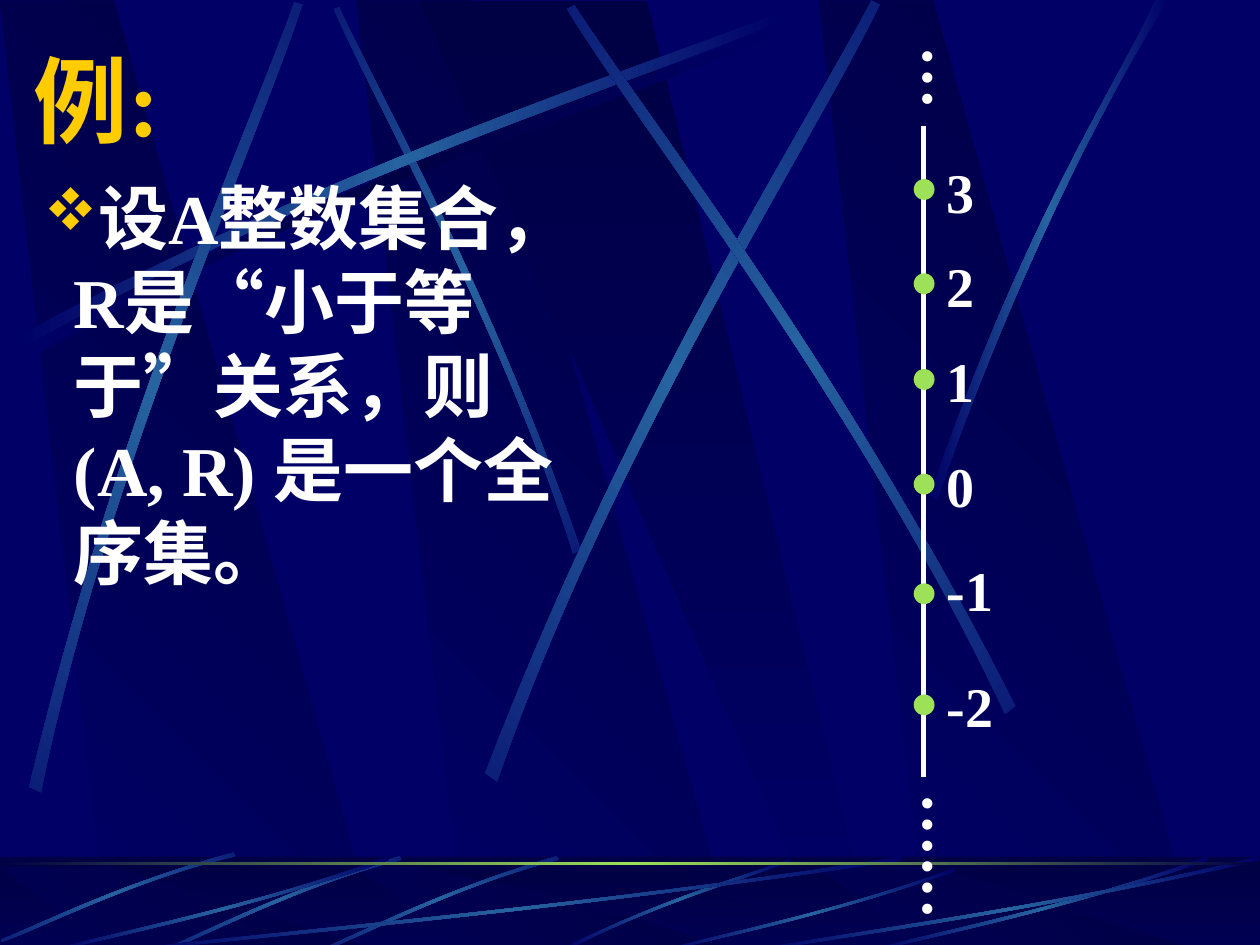
from lxml.etree import SubElement
from pptx import Presentation
from pptx.dml.color import RGBColor
from pptx.enum.shapes import MSO_CONNECTOR, MSO_SHAPE
from pptx.enum.text import MSO_ANCHOR, PP_ALIGN
from pptx.oxml.ns import qn
from pptx.util import Cm, Pt

HUES = {"night": "000066", "dark": "000044", "beam": "2663A0",
        "lime": "9CE157", "gold": "FFCC00", "white": "FFFFFF"}
SERIF, SANS = "Times New Roman", "Noto Sans CJK SC"

GLOW = ("night", "beam", "night")
SHADE = ("night", "dark", "night")
BAND = [(0.285, 1), (1, 1), (0.3, 0), (0, 0)]
WEDGE = [(0, 0), (0.9, 1), (1, 1), (0.5, 0)]
RAY = [(0, 0.963), (0.434, 0.43), (0.828, 0.154), (0.995, 0),
       (1, 0.022), (0.834, 0.19), (0.384, 0.498), (0.005, 1)]
ARC = [(0, 0.99), (0.4, 0.436), (0.79, 0.166), (0.947, 0),
       (1, 0), (0.52, 0.365), (0.164, 0.81), (0.03, 1)]

HIGH_RAYS = [
    ((0.51, 0.46, 15.44, 6.78), 0, False, SHADE),
    ((3.58, 3.43, 11.23, 4.45), 45, True, GLOW),
    ((0.36, 0.25, 15.44, 6.78), 0, False, GLOW),
    ((-4.34, 4.62, 15.44, 6.78), 311.7, False, GLOW),
    ((5.87, 4.06, 15.85, 7.65), 321.6, False, GLOW),
    ((8.2, 3.86, 15.44, 6.78), 34.8, True, GLOW),
]
LOW_RAYS = [
    ((11.38, 17.32, 4.57, 1.85), 0, False),
    ((6.55, 17.17, 4.67, 2.11), 314.9, True),
    ((3.38, 17.17, 4.67, 2.11), 314.9, True),
    ((0.1, 17.02, 4.57, 2.16), 314.9, True),
    ((2.54, 17.27, 15.67, 1.91), 180, False),
    ((1.07, 17.27, 6.78, 1.91), 180, False),
    ((13.39, 17.5, 5.87, 1.68), 180, False),
    ((17.58, 17.27, 6.78, 1.91), 180, False),
    ((15.24, 17.27, 10.16, 1.91), 180, False),
]
TICKS = [("3", 3.61, 2.77), ("2", 5.51, 4.67), ("1", 7.44, 6.58),
         ("0", 9.55, 8.71), ("-1", 11.76, 10.8), ("-2", 14, 13.13)]


def rgb(name):
    """Look up a colour by its name."""
    return RGBColor.from_string(HUES[name])


def lens(box):
    """Turn centimetres into lengths."""
    return [Cm(n) for n in box]


def plain(shape, hue):
    """Give a shape a flat fill, no line and no shadow."""
    shape.shadow.inherit = False
    shape.line.fill.background()
    shape.fill.solid()
    shape.fill.fore_color.rgb = rgb(hue)
    return shape


def blend(shape, hues, angle=0):
    """Fill a shape with evenly spaced gradient stops."""
    plain(shape, hues[0])
    shape.fill.gradient()
    grad = shape._element.spPr.find(qn("a:gradFill"))
    for part in list(grad):
        grad.remove(part)
    grad.set("rotWithShape", "1")
    stops = SubElement(grad, qn("a:gsLst"))
    for i, hue in enumerate(hues):
        stop = SubElement(stops, qn("a:gs"), pos=str(100000 * i // (len(hues) - 1)))
        SubElement(stop, qn("a:srgbClr"), val=HUES[hue])
    SubElement(grad, qn("a:lin"), ang=str(angle * 60000), scaled="0")


def outline(slide, box, points):
    """Draw a closed outline of unit points inside a box."""
    x, y, w, h = box
    spots = [(Cm(x + u * w), Cm(y + v * h)) for u, v in points]
    pen = slide.shapes.build_freeform(*spots[0])
    pen.add_line_segments(spots[1:], close=True)
    return pen.convert_to_shape()


def bend(shape):
    """Turn the two long sides of a ray into cubic curves."""
    track = shape._element.spPr.find(".//" + qn("a:path"))
    parts = list(track)
    for side in (parts[1:4], parts[5:8]):
        cubic = SubElement(track, qn("a:cubicBezTo"))
        side[0].addprevious(cubic)
        for part in side:
            cubic.append(part[0])
            track.remove(part)


def ray(slide, box, turn=0, flip=False, hues=GLOW, form=RAY):
    """Draw one bent beam of light."""
    points = [(1 - u, v) for u, v in form] if flip else form
    shape = outline(slide, box, points)
    bend(shape)
    blend(shape, hues)
    shape.rotation = turn


def block(slide, box, kind=MSO_SHAPE.RECTANGLE):
    """Add a preset shape."""
    return slide.shapes.add_shape(kind, *lens(box))


def bands(slide, top, tall):
    """Draw the slanted bands and the wedge."""
    for left in (7.19, 0, 16.51):
        blend(outline(slide, (left, top, 7.67, tall), BAND), ("night", "dark"), 315)
    blend(outline(slide, (8.46, top, 9.17, tall), WEDGE), ("dark", "night"), 90)


def scene(slide):
    """Draw the backdrop."""
    slide.background.fill.solid()
    slide.background.fill.fore_color.rgb = rgb("night")
    bands(slide, 0.02, 19.08)
    for box, turn, flip, hues in HIGH_RAYS:
        ray(slide, box, turn, flip, hues)
    ray(slide, (18.75, 0, 4.8, 10.08), form=ARC)
    floor = (0, 17.27, 25.4, 1.91)
    blend(block(slide, floor), ("dark", "night"), 90)
    bands(slide, 17.48, 1.69)
    veil = plain(block(slide, floor), "dark")
    SubElement(veil._element.spPr.find(".//" + qn("a:srgbClr")),
               qn("a:alpha"), val="50000")
    for box, turn, flip in LOW_RAYS:
        ray(slide, box, turn, flip)
    blend(block(slide, (0, 17.37, 25.4, 0.06)), ("dark", "lime", "dark"))


def write(shape, *runs, size, hue="white", pads=(0.25, 0.13, 0.25, 0.13),
          wrap=True, space=None, mark=None, anchor=MSO_ANCHOR.TOP, vert=None):
    """Write runs of text and font as one paragraph."""
    frame = shape.text_frame
    frame.word_wrap, frame.vertical_anchor = wrap, anchor
    (frame.margin_left, frame.margin_top,
     frame.margin_right, frame.margin_bottom) = lens(pads)
    if vert:
        frame._txBody.bodyPr.set("vert", vert)
    para = frame.paragraphs[0]
    para.alignment = PP_ALIGN.LEFT
    if space:
        para.line_spacing = space
    if mark:
        props = para._p.get_or_add_pPr()
        props.set("marL", str(Cm(0.6)))
        props.set("indent", str(-Cm(0.6)))
        props.set("hangingPunct", "0")
        tint = SubElement(props, qn("a:buClr"))
        SubElement(tint, qn("a:srgbClr"), val=HUES["gold"])
        SubElement(props, qn("a:buSzPct"), val="85000")
        SubElement(props, qn("a:buFont"), typeface="Wingdings",
                   pitchFamily="2", charset="2")
        SubElement(props, qn("a:buChar"), char=mark)
    for text, face in runs:
        run = para.add_run()
        run.text = text
        font = run.font
        font.name, font.size, font.bold = face, Pt(size), True
        font.color.rgb = rgb(hue)
        SubElement(run._r.get_or_add_rPr(), qn("a:ea"), typeface=SANS)


def label(slide, box, *runs, **form):
    """Add a text box."""
    write(slide.shapes.add_textbox(*lens(box)), *runs, **form)


def axis(slide):
    """Draw the number line with its points and dots."""
    line = slide.shapes.add_connector(
        MSO_CONNECTOR.STRAIGHT, *lens((18.62, 2.54, 18.62, 15.67)))
    line.line.color.rgb = rgb("white")
    line.line.width = Pt(3)
    SubElement(line._element.spPr, qn("a:effectLst"))
    for text, dot, top in TICKS:
        plain(block(slide, (18.42, dot, 0.42, 0.42), MSO_SHAPE.OVAL), "lime")
        label(slide, (18.83, top, 1.45, 1.88), (text, SERIF), size=32,
              wrap=False, space=1.2)
    for text, top, tall in (("…", 0.68, 1.52), ("……", 15.74, 2.79)):
        label(slide, (17.98, top, 2.34, tall), (text, SERIF), size=36, wrap=False,
              space=1.2, vert="eaVert", pads=(0.13, 0.25, 0.13, 0.25))


def main():
    """Build the slide and save it."""
    deck = Presentation()
    deck.slide_width, deck.slide_height = Cm(25.4), Cm(19.05)
    slide = deck.slides.add_slide(deck.slide_layouts[5])
    scene(slide)
    title = slide.shapes.title
    title.left, title.top, title.width, title.height = lens((0.43, 0.71, 24.13, 2.54))
    slide.shapes._spTree.append(title._element)
    write(title, ("例:", SERIF), size=54, hue="gold", anchor=MSO_ANCHOR.MIDDLE)
    label(slide, (0.64, 3.38, 11.28, 14.4),
          ("设A整数集合，R是“小于等于”关系，则(A, R) ", SERIF),
          ("是一个全序集。", SANS),
          size=40, space=Pt(48), mark="v")
    axis(slide)
    deck.save("out.pptx")


if __name__ == "__main__":
    main()
